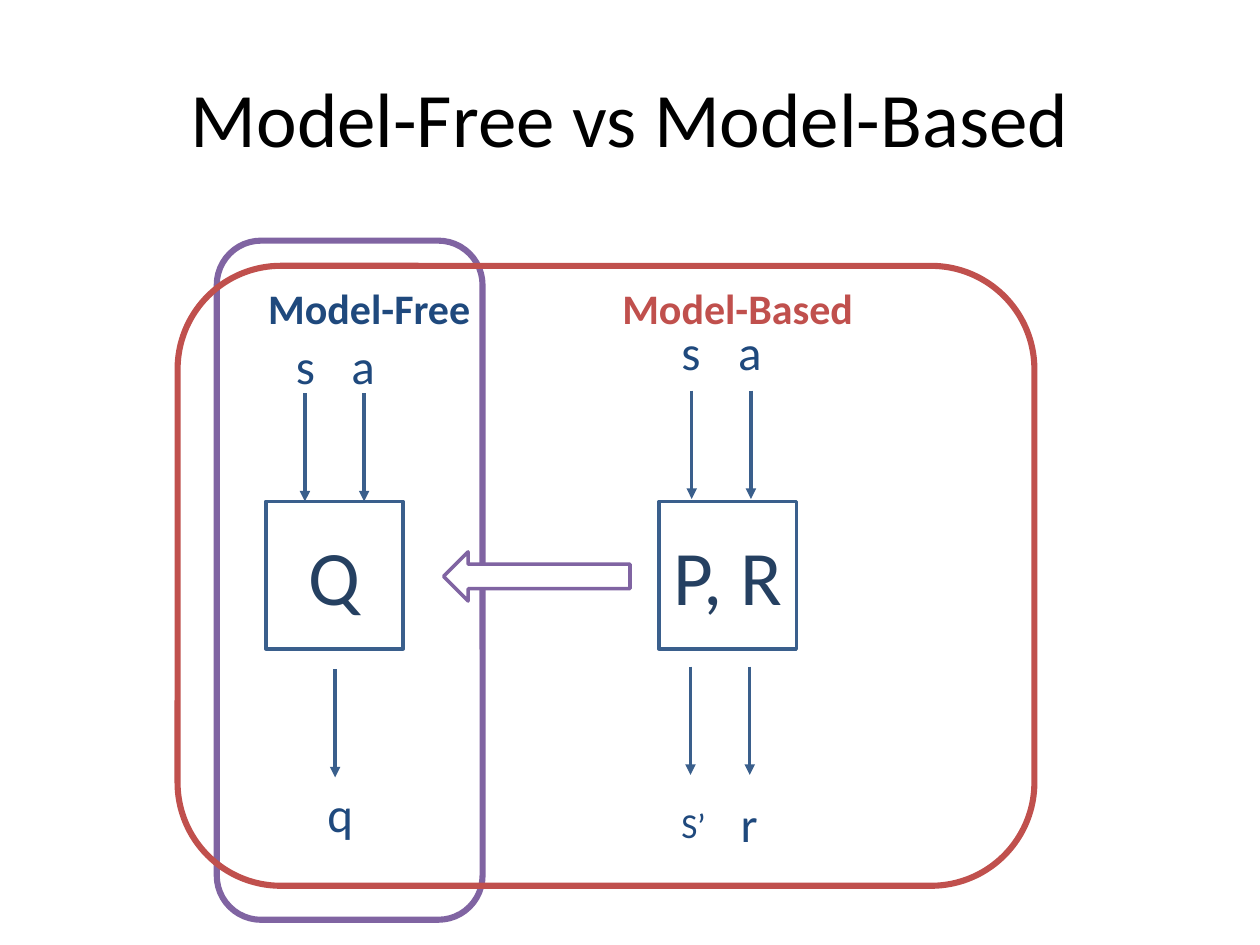
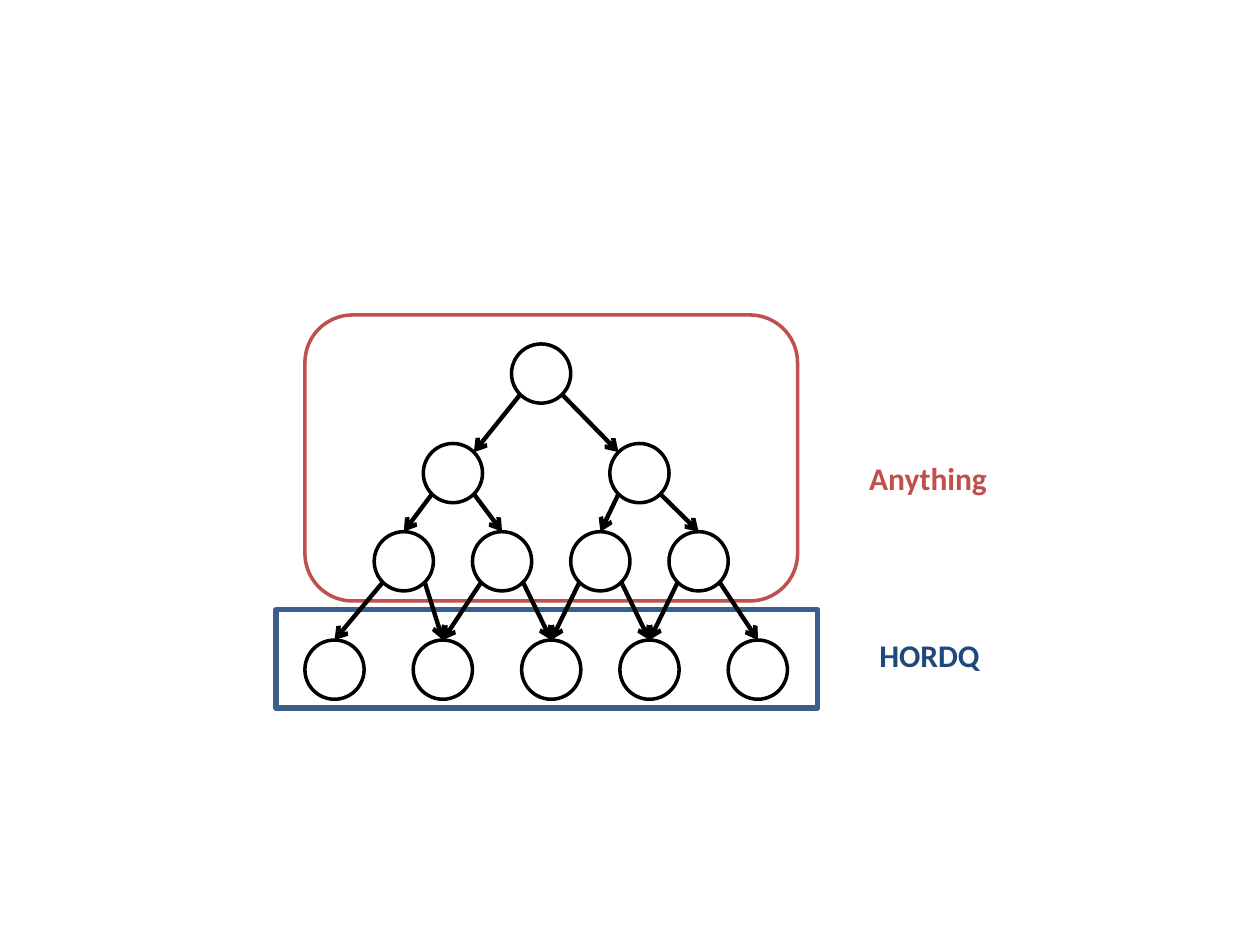
"""Builds two slides: model-free vs model-based learning, and a tree whose leaves are HORDQ."""
from dataclasses import dataclass
from math import sqrt

from lxml import etree
from pptx import Presentation
from pptx.dml.color import RGBColor
from pptx.enum.shapes import MSO_CONNECTOR, MSO_SHAPE
from pptx.enum.text import MSO_ANCHOR, MSO_AUTO_SIZE, PP_ALIGN
from pptx.oxml.ns import qn
from pptx.util import Inches, Pt

STRAIGHT = MSO_CONNECTOR.STRAIGHT
RECTANGLE = MSO_SHAPE.RECTANGLE
ROUNDED = MSO_SHAPE.ROUNDED_RECTANGLE
OVAL = MSO_SHAPE.OVAL
LEFT_ARROW = MSO_SHAPE.LEFT_ARROW
MIDDLE = MSO_ANCHOR.MIDDLE
CENTER = PP_ALIGN.CENTER
FIT_SHAPE = MSO_AUTO_SIZE.SHAPE_TO_FIT_TEXT
NO_FIT = MSO_AUTO_SIZE.NONE


@dataclass(frozen=True)
class Theme:
    font: str = "Calibri"
    black: RGBColor = RGBColor.from_string("000000")
    white: RGBColor = RGBColor.from_string("FFFFFF")
    purple: RGBColor = RGBColor.from_string("8064A2")
    red: RGBColor = RGBColor.from_string("C0504D")
    blue: RGBColor = RGBColor.from_string("3A5F8C")
    navy: RGBColor = RGBColor.from_string("1F497D")
    dark: RGBColor = RGBColor.from_string("254061")
    title: int = 44
    symbol: int = 28
    heading: int = 24
    next_state: int = 20
    caption: int = 18


theme = Theme()


def add_outline(slide, preset, place, color, weight, fill=None):
    outline = slide.shapes.add_shape(preset, *map(Inches, place))
    outline.shadow.inherit = False
    if fill is None:
        outline.fill.background()
    else:
        outline.fill.solid()
        outline.fill.fore_color.rgb = fill
    outline.line.color.rgb = color
    outline.line.width = Pt(weight)
    return outline


def add_arrow(slide, start, end, color, weight, head):
    arrow = slide.shapes.add_connector(STRAIGHT, *map(Inches, (*start, *end)))
    arrow.line.color.rgb = color
    arrow.line.width = Pt(weight)
    etree.SubElement(arrow.line._get_or_add_ln(), qn("a:tailEnd"), type=head)
    etree.SubElement(arrow._element.spPr, qn("a:effectLst"))


deck = Presentation()
deck.slide_width, deck.slide_height = Inches(10), Inches(7.5)
comparison = deck.slides.add_slide(deck.slide_layouts[5])
tree = deck.slides.add_slide(deck.slide_layouts[6])

heading = comparison.shapes.title
heading.left, heading.top = Inches(0.5), Inches(0.3)
heading.width, heading.height = Inches(9), Inches(1.25)
heading.text_frame.text = "Model-Free vs Model-Based"
heading.text_frame.vertical_anchor = MIDDLE
heading.text_frame.auto_size = NO_FIT
heading.text_frame.paragraphs[0].alignment = CENTER
heading_font = heading.text_frame.paragraphs[0].runs[0].font
heading_font.name, heading_font.size = theme.font, Pt(theme.title)
heading_font.color.rgb = theme.black

add_outline(comparison, ROUNDED, (1.72, 1.91, 2.11, 5.39), theme.purple, 3.5)
add_outline(comparison, ROUNDED, (1.41, 2.11, 6.8, 4.92), theme.red, 3.5)

for function, left in (("Q", 2.11), ("P, R", 5.23)):
    block = add_outline(comparison, RECTANGLE, (left, 3.98, 1.09, 1.17), theme.blue, 2)
    block.text_frame.text = function
    block.text_frame.vertical_anchor = MIDDLE
    block.text_frame.paragraphs[0].alignment = CENTER
    function_font = block.text_frame.paragraphs[0].runs[0].font
    function_font.name, function_font.size = theme.font, Pt(theme.title)
    function_font.color.rgb = theme.dark

FLOW_LENGTH = 0.86
for x, top in ((2.42, 3.12), (2.89, 3.12), (5.49, 3.1), (5.96, 3.1),
               (2.66, 5.31), (5.48, 5.29), (5.95, 5.29)):
    add_arrow(comparison, (x, top), (x, top + FLOW_LENGTH), theme.blue, 2, "triangle")

add_outline(comparison, LEFT_ARROW, (3.52, 4.38, 1.48, 0.39), theme.purple, 2, theme.white)

NODE = 0.47
RADIUS = NODE / 2
DIAGONAL = RADIUS / sqrt(2)
levels = (
    (2.73, (4.06,)),
    (3.52, (3.36, 4.84)),
    (4.22, (2.97, 3.75, 4.53, 5.31)),
    (5.08, (2.42, 3.28, 4.14, 4.92, 5.78)),
)

add_outline(tree, ROUNDED, (2.42, 2.5, 3.91, 2.27), theme.red, 2, theme.white)
for top, lefts in levels:
    for left in lefts:
        add_outline(tree, OVAL, (left, top, NODE, NODE), theme.black, 2, theme.white)
add_outline(tree, RECTANGLE, (2.19, 4.84, 4.3, 0.78), theme.blue, 3)

for depth, ((top, lefts), (child_top, child_lefts)) in enumerate(zip(levels, levels[1:])):
    branching = 1 if depth == 2 else 2
    for index, left in enumerate(lefts):
        for side, child in ((-1, branching * index), (1, branching * index + 1)):
            start = (left + RADIUS + side * DIAGONAL, top + RADIUS + DIAGONAL)
            end_x, end_y = child_lefts[child] + RADIUS, child_top
            if depth == 0:
                end_x -= side * DIAGONAL
                end_y += RADIUS - DIAGONAL
            add_arrow(tree, start, (end_x, end_y), theme.black, 2.5, "arrow")

labels = (
    (comparison, "s", (2.25, 2.61, 0.36, 0.57), theme.symbol, theme.navy, False),
    (comparison, "a", (2.69, 2.61, 0.39, 0.57), theme.symbol, theme.navy, False),
    (comparison, "s", (5.31, 2.5, 0.36, 0.57), theme.symbol, theme.navy, False),
    (comparison, "a", (5.76, 2.5, 0.39, 0.57), theme.symbol, theme.navy, False),
    (comparison, "q", (2.5, 6.17, 0.41, 0.57), theme.symbol, theme.navy, False),
    (comparison, "S’", (5.31, 6.33, 0.4, 0.44), theme.next_state, theme.navy, False),
    (comparison, "r", (5.78, 6.25, 0.34, 0.57), theme.symbol, theme.navy, False),
    (comparison, "Model-Based", (4.84, 2.19, 2.05, 0.5), theme.heading, theme.red, True),
    (comparison, "Model-Free", (2.03, 2.19, 1.82, 0.5), theme.heading, theme.navy, True),
    (tree, "Anything", (6.8, 3.59, 1.14, 0.4), theme.caption, theme.red, True),
    (tree, "HORDQ", (6.88, 5, 1.01, 0.4), theme.caption, theme.navy, True),
)
for slide, wording, place, size, color, bold in labels:
    label = slide.shapes.add_textbox(*map(Inches, place))
    label.text_frame.text = wording
    label.text_frame.word_wrap = False
    label.text_frame.auto_size = FIT_SHAPE
    label_font = label.text_frame.paragraphs[0].runs[0].font
    label_font.name, label_font.size, label_font.bold = theme.font, Pt(size), bold
    label_font.color.rgb = color

deck.save("out.pptx")
